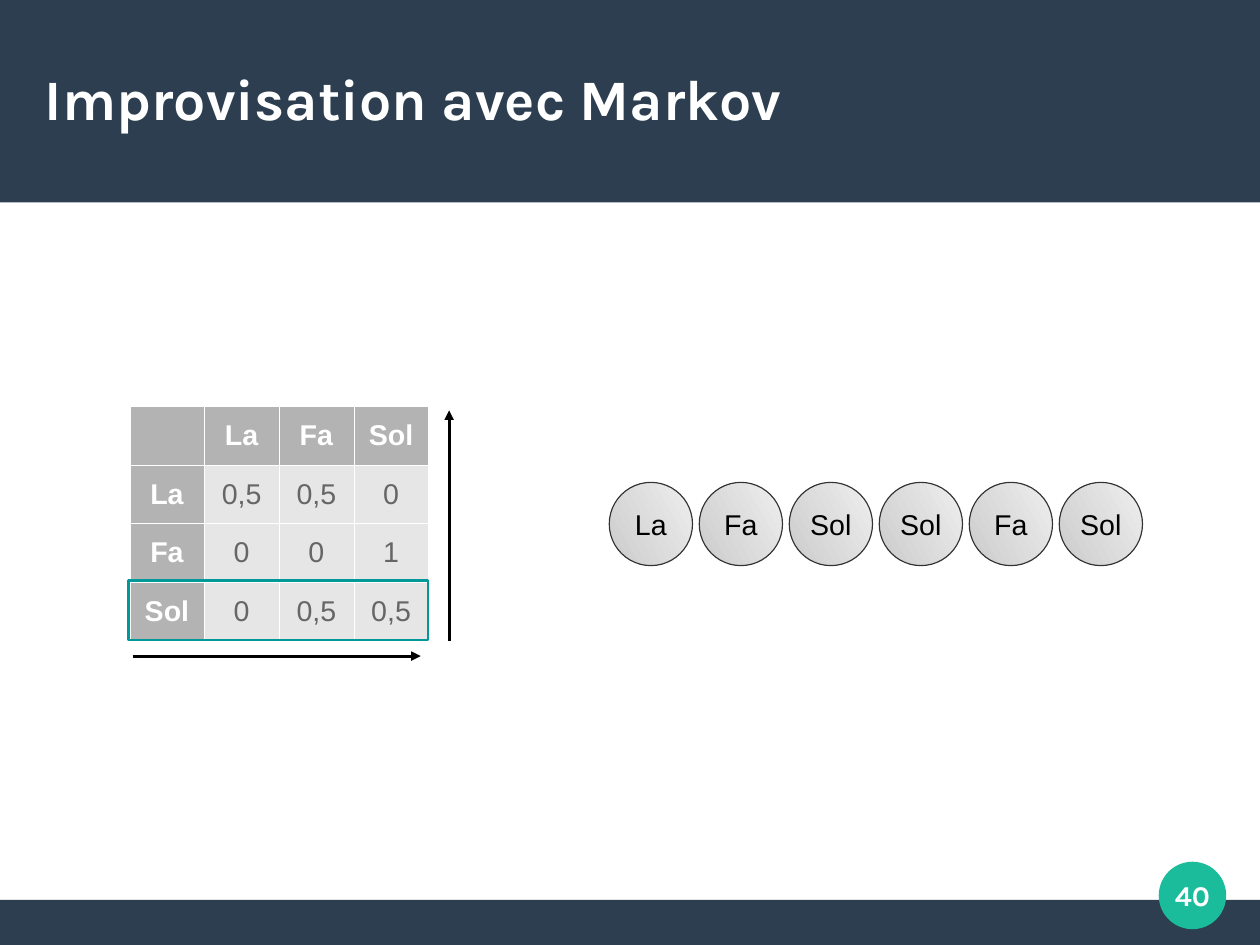
"""Builds the slide on improvising with a Markov transition table."""
from dataclasses import dataclass
from typing import NamedTuple

from lxml.etree import SubElement
from pptx import Presentation
from pptx.dml.color import RGBColor
from pptx.enum.shapes import MSO_CONNECTOR, MSO_SHAPE
from pptx.enum.text import MSO_ANCHOR as Anchor, MSO_AUTO_SIZE, PP_ALIGN as Align
from pptx.oxml import parse_xml
from pptx.oxml.ns import nsdecls, qn
from pptx.util import Cm, Pt


@dataclass(frozen=True)
class Theme:
    navy: str = "2C3E50"
    badge: str = "1ABC9C"
    teal: str = "009999"
    white: str = "FFFFFF"
    black: str = "000000"
    outline: str = "333333"
    header: str = "B3B3B3"
    cell: str = "E6E6E6"
    value: str = "666666"
    note_light: str = "EEEEEE"
    note_dark: str = "CCCCCC"
    title_font: str = "Karla"
    body_font: str = "Arial"
    title_size: int = 36
    body_size: int = 18


class Box(NamedTuple):
    x: float
    y: float
    w: float
    h: float

    def cm(self):
        return tuple(Cm(v) for v in self)


class Panel(NamedTuple):
    kind: MSO_SHAPE
    box: Box
    fill: str


class Arrow(NamedTuple):
    x1: float
    y1: float
    x2: float
    y2: float


T = Theme()
PANELS = [
    Panel(MSO_SHAPE.RECTANGLE, Box(0, 20, 28, 1), T.navy),
    Panel(MSO_SHAPE.RECTANGLE, Box(0, 0, 28, 4.5), T.navy),
    Panel(MSO_SHAPE.OVAL, Box(25.75, 19.15, 1.5, 1.5), T.badge),
]
ARROWS = [Arrow(2.95, 14.58, 9.35, 14.58), Arrow(9.98, 14.25, 9.98, 9.12)]
ROWS = [
    ["", "La", "Fa", "Sol"],
    ["La", "0,5", "0,5", "0"],
    ["Fa", "0", "0", "1"],
    ["Sol", "0", "0,5", "0,5"],
]
TABLE = Box(2.88, 9.03, 6.64, 5.2)
MELODY = ["La", "Fa", "Sol", "Sol", "Fa", "Sol"]
NOTE, NOTE_PITCH = Box(13.54, 10.72, 1.85, 1.85), 2


def write(tf, text: str, *, font=T.body_font, size=T.body_size, color=T.black,
          bold=False, align=Align.CENTER) -> None:
    p = tf.paragraphs[0]
    p.alignment = align
    r = p.add_run()
    r.text = text
    r.font.name, r.font.size, r.font.bold = font, Pt(size), bold
    r.font.color.rgb = RGBColor.from_string(color)


def clear_margins(tf) -> None:
    tf.margin_left = tf.margin_right = tf.margin_top = tf.margin_bottom = 0
    tf.vertical_anchor = Anchor.MIDDLE
    tf.word_wrap = True
    tf.auto_size = MSO_AUTO_SIZE.NONE


def add_panel(s, kind: MSO_SHAPE, box: Box, fill: str | None = None,
              line: str | None = None, width: float = 0):
    sp = s.shapes.add_shape(kind, *box.cm())
    sp.shadow.inherit = False
    if fill:
        sp.fill.solid()
        sp.fill.fore_color.rgb = RGBColor.from_string(fill)
    else:
        sp.fill.background()
    if line:
        sp.line.color.rgb = RGBColor.from_string(line)
        sp.line.width = Pt(width)
    else:
        sp.line.fill.background()
    return sp


def add_title(s, text: str) -> None:
    sp = s.shapes.title
    sp.left, sp.top, sp.width, sp.height = Box(1, 0.84, 26, 2.67).cm()
    clear_margins(sp.text_frame)
    write(sp.text_frame, text, font=T.title_font, size=T.title_size,
          color=T.white, bold=True, align=Align.LEFT)
    s.shapes._spTree.append(sp._element)


def add_matrix(s) -> None:
    table = s.shapes.add_table(len(ROWS), len(ROWS[0]), *TABLE.cm()).table
    for i, row in enumerate(ROWS):
        for j, text in enumerate(row):
            cell = table.cell(i, j)
            head = i == 0 or j == 0
            cell.vertical_anchor = Anchor.MIDDLE
            cell.fill.solid()
            cell.fill.fore_color.rgb = RGBColor.from_string(T.header if head else T.cell)
            if text:
                write(cell.text_frame, text, color=T.white if head else T.value, bold=head)
            for k, side in enumerate(("lnL", "lnR", "lnT", "lnB")):
                border = parse_xml(
                    f'<a:{side} {nsdecls("a")} w="762"><a:solidFill>'
                    f'<a:srgbClr val="{T.white}"/></a:solidFill></a:{side}>')
                cell._tc.get_or_add_tcPr().insert(k, border)


def add_arrow(s, arrow: Arrow) -> None:
    c = s.shapes.add_connector(MSO_CONNECTOR.STRAIGHT, *(Cm(v) for v in arrow))
    c.line.color.rgb = RGBColor.from_string(T.black)
    c.line.width = Pt(0)
    SubElement(c.line._get_or_add_ln(), qn("a:tailEnd"), type="triangle")
    SubElement(c._element.spPr, qn("a:effectLst"))


def add_note(s, i: int, name: str) -> None:
    box = NOTE._replace(x=NOTE.x + i * NOTE_PITCH)
    sp = add_panel(s, MSO_SHAPE.OVAL, box, line=T.outline)
    sp.fill.gradient()
    sp.fill.gradient_angle = 210
    for stop, color in zip(sp.fill.gradient_stops, (T.note_light, T.note_dark)):
        stop.color.rgb = RGBColor.from_string(color)
    sp.text_frame.word_wrap = False
    sp.text_frame.vertical_anchor = Anchor.MIDDLE
    write(sp.text_frame, name)


def add_page_number(s, text: str) -> None:
    tf = s.shapes.add_textbox(*Box(25.5, 18.9, 2, 2).cm()).text_frame
    clear_margins(tf)
    write(tf, text, font=T.title_font, color=T.white, bold=True)


def main() -> None:
    prs = Presentation()
    prs.slide_width, prs.slide_height = Cm(28), Cm(21)
    s = prs.slides.add_slide(prs.slide_layouts[5])
    for panel in PANELS:
        add_panel(s, *panel)
    add_title(s, "Improvisation avec Markov")
    add_matrix(s)
    for arrow in ARROWS:
        add_arrow(s, arrow)
    add_panel(s, MSO_SHAPE.RECTANGLE, Box(2.86, 12.9, 6.65, 1.32), line=T.teal, width=1.5)
    for i, name in enumerate(MELODY):
        add_note(s, i, name)
    add_page_number(s, "40")
    prs.save("out.pptx")


if __name__ == "__main__":
    main()
